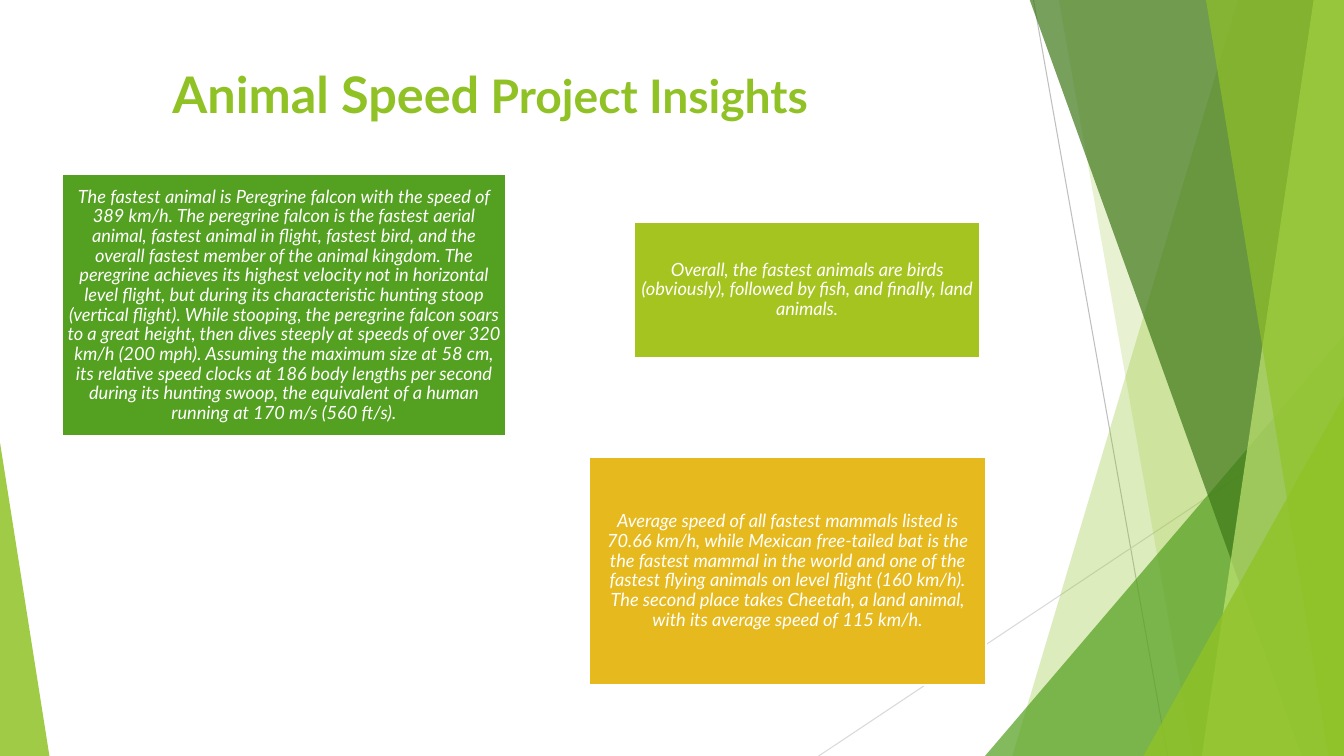
from lxml import etree
from pptx import Presentation
from pptx.dml.color import RGBColor
from pptx.enum.shapes import MSO_CONNECTOR, MSO_SHAPE
from pptx.enum.text import MSO_ANCHOR, MSO_AUTO_SIZE, PP_ALIGN
from pptx.oxml.ns import qn
from pptx.util import Inches, Pt

STRAIGHT = MSO_CONNECTOR.STRAIGHT
TRIANGLE = MSO_SHAPE.ISOSCELES_TRIANGLE
RECTANGLE = MSO_SHAPE.RECTANGLE
TOP, MIDDLE = MSO_ANCHOR.TOP, MSO_ANCHOR.MIDDLE
LEFT, CENTER = PP_ALIGN.LEFT, PP_ALIGN.CENTER
NO_AUTOFIT = MSO_AUTO_SIZE.NONE

WIDTH, HEIGHT = 13.33, 7.5
COLORS = {
    "white": "FFFFFF",
    "lime": "90C226",
    "green": "54A021",
    "forest": "3F7819",
    "pale": "C0E474",
    "olive": "A5C41F",
    "gold": "E6B91E",
    "gray": "BFBFBF",
    "light_gray": "D9D9D9",
}

RAYS = [
    ((10.25, 0), (11.58, HEIGHT), "gray"),
    ((WIDTH, 4.03), (8.12, HEIGHT), "light_gray"),
]
FACETS = [
    ("band", 12.28, 10.04, "lime", 30),
    ("band", 10.5, 11.83, "lime", 20),
    ("triangle", (9.77, 3.33, 3.56, 4.17), 1, "green", 72),
    ("band", 10.21, 12.91, "forest", 70),
    ("band", 13.03, 11.92, "pale", 70),
    ("band", 11.96, 13.18, "lime", 65),
    ("triangle", (11.34, 3.93, 1.99, 3.57), 1, "lime", 80),
    ("triangle", (0, 4.39, 0.49, 3.11), 0, "lime", 85),
]
INSIGHTS = [
    (
        (0.61, 1.73, 4.41, 2.6),
        "green",
        "The fastest animal is Peregrine falcon with the speed of 389 km/h. "
        "The peregrine falcon is the fastest aerial animal, fastest animal in flight, "
        "fastest bird, and the overall fastest member of the animal kingdom. "
        "The peregrine achieves its highest velocity not in horizontal level flight, "
        "but during its characteristic hunting stoop (vertical flight). While stooping, "
        "the peregrine falcon soars to a great height, then dives steeply at speeds of "
        "over 320 km/h (200 mph). Assuming the maximum size at 58 cm, its relative speed "
        "clocks at 186 body lengths per second during its hunting swoop, the equivalent "
        "of a human running at 170 m/s (560 ft/s).",
    ),
    (
        (6.29, 2.2, 3.43, 1.35),
        "olive",
        "Overall, the fastest animals are birds (obviously), followed by fish, "
        "and finally, land animals.",
    ),
    (
        (5.84, 4.53, 3.94, 2.27),
        "gold",
        "Average speed of all fastest mammals listed is 70.66 km/h, while Mexican "
        "free-tailed bat is the the fastest mammal in the world and one of the fastest "
        "flying animals on level flight (160 km/h). The second place takes Cheetah, "
        "a land animal, with its average speed of 115 km/h.",
    ),
]


class SlideBuilder:
    """Draw the elements of one slide in a shared style."""

    font_name = "Lato"

    def __init__(self, slide):
        self.slide = slide
        self.shapes = slide.shapes

    def color(self, name):
        return RGBColor.from_string(COLORS[name])

    def fill(self, shape, color, opacity=100):
        shape.shadow.inherit = False
        shape.fill.solid()
        shape.fill.fore_color.rgb = self.color(color)
        shape.line.fill.background()
        if opacity < 100:
            solid_fill = shape._element.spPr.find(qn("a:solidFill"))
            alpha = etree.SubElement(solid_fill[0], qn("a:alpha"))
            alpha.set("val", str(opacity * 1000))

    def text_run(self, paragraph, text, size, color, bold=False, italic=False):
        run = paragraph.add_run()
        run.text = text
        run.font.name = self.font_name
        run.font.size = Pt(size)
        run.font.bold = bold
        run.font.italic = italic
        run.font.color.rgb = self.color(color)

    def title(self, box, runs):
        shape = self.shapes.title
        shape.left, shape.top, shape.width, shape.height = map(Inches, box)
        frame = shape.text_frame
        frame.auto_size = NO_AUTOFIT
        frame.word_wrap = True
        frame.vertical_anchor = TOP
        paragraph = frame.paragraphs[0]
        paragraph.alignment = LEFT
        paragraph.line_spacing = 0.9
        paragraph.space_before = Pt(0)
        paragraph.space_after = Pt(6)
        for text, size in runs:
            self.text_run(paragraph, text, size, "lime", bold=True)

    def ray(self, start, end, color):
        connector = self.shapes.add_connector(STRAIGHT, *map(Inches, start + end))
        connector.line.color.rgb = self.color(color)
        connector.line.width = Pt(0.75)
        etree.SubElement(connector._element.spPr, qn("a:effectLst"))

    def band(self, top_x, bottom_x, color, opacity):
        corners = [(top_x, -0.01), (WIDTH, -0.01), (WIDTH, HEIGHT), (bottom_x, HEIGHT)]
        points = [(Inches(x), Inches(y)) for x, y in corners]
        builder = self.shapes.build_freeform(*points[0])
        builder.add_line_segments(points[1:], close=True)
        self.fill(builder.convert_to_shape(), color, opacity)

    def triangle(self, box, apex, color, opacity):
        shape = self.shapes.add_shape(TRIANGLE, *map(Inches, box))
        shape.adjustments[0] = apex
        self.fill(shape, color, opacity)

    def insight(self, box, color, text):
        shape = self.shapes.add_shape(RECTANGLE, *map(Inches, box))
        self.fill(shape, color)
        shape.line.color.rgb = self.color("white")
        shape.line.width = Pt(1.5)
        frame = shape.text_frame
        frame.word_wrap = True
        frame.vertical_anchor = MIDDLE
        frame.margin_left = frame.margin_right = Inches(0.05)
        frame.margin_top = frame.margin_bottom = Inches(0.05)
        paragraph = frame.paragraphs[0]
        paragraph.alignment = CENTER
        paragraph.line_spacing = 0.9
        paragraph.space_after = Pt(4.5)
        self.text_run(paragraph, text, 13, "white", italic=True)


def main():
    presentation = Presentation()
    presentation.slide_width = Inches(WIDTH)
    presentation.slide_height = Inches(HEIGHT)
    title_only = presentation.slide_layouts[5]
    builder = SlideBuilder(presentation.slides.add_slide(title_only))

    for ray in RAYS:
        builder.ray(*ray)
    draw = {"band": builder.band, "triangle": builder.triangle}
    for kind, *facet in FACETS:
        draw[kind](*facet)
    builder.title(
        (1.61, 0.64, 10.1, 1.2), [("Animal Speed", 36), (" Project Insights", 33)]
    )
    for insight in INSIGHTS:
        builder.insight(*insight)

    presentation.save("out.pptx")


if __name__ == "__main__":
    main()
